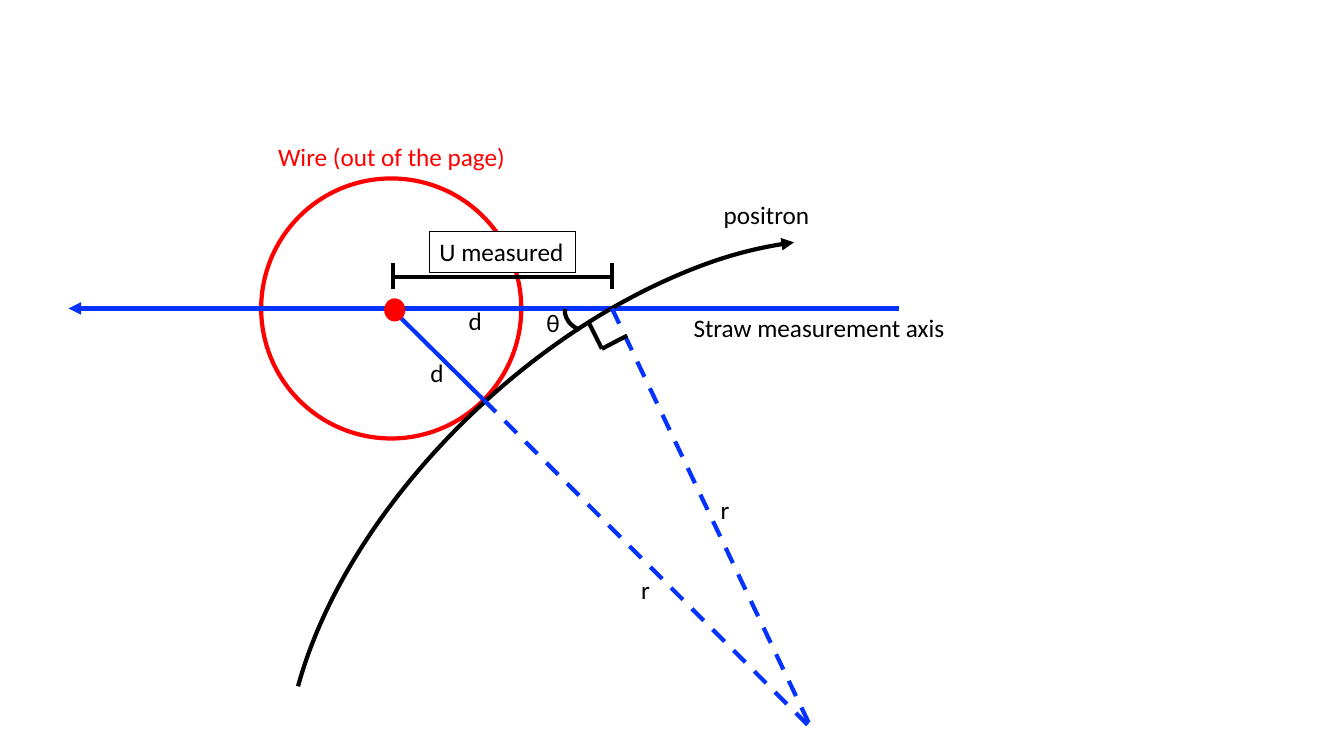
from lxml.etree import SubElement
from pptx import Presentation
from pptx.dml.color import RGBColor
from pptx.enum.dml import MSO_LINE_DASH_STYLE as Dash
from pptx.enum.shapes import MSO_CONNECTOR, MSO_SHAPE as Shape
from pptx.enum.text import MSO_AUTO_SIZE as AutoSize
from pptx.oxml.ns import qn
from pptx.util import Inches, Pt

CELL = 0.1  # inches; every position below is in grid columns and rows
BLACK, WHITE, RED, BLUE = "000000", "FFFFFF", "FF0000", "0432FF"
THICK, THIN = 3, 0.75

AXIS_ROW = 30.6
WIRE = (38.8, AXIS_ROW)
TANGENT = (48, 39.7)
CROSSING = (60.7, AXIS_ROW)
MEASURE_ROW, TICK_TOP, TICK_BOTTOM = 27.5, 26.1, 28.7
LABEL_HEIGHT = 4

LABELS = [
    ("d", 41.7, 35, 3.4, BLACK),
    ("d", 45.5, 29.8, 3.4, BLACK),
    ("Wire (out of the page)", 26.6, 13.5, 24.8, RED),
    ("r", 62.6, 56.5, 2.9, BLACK),
    ("r", 70.5, 48.6, 2.9, BLACK),
    ("θ", 53.2, 30, 3.4, BLACK),
    ("Straw measurement axis", 67.8, 30.5, 27.2, BLACK),
    ("positron", 70.8, 19.3, 10.6, BLACK),
]


def grid(*cells):
    return [Inches(cell * CELL) for cell in cells]


def color(hex_string):
    return RGBColor.from_string(hex_string)


def set_line(line, line_color, width=THICK, dash=None, arrow=False):
    """Style an outline; the arrowhead goes at its end."""
    line.color.rgb = color(line_color)
    for name, value in {"width": Pt(width), "dash_style": dash}.items():
        setattr(line, name, value)
    if arrow:
        properties = line.fill._xPr
        SubElement(properties, qn("a:tailEnd"), type="triangle")


def add_line(slide, start, end, line_color, **line_format):
    connector = slide.shapes.add_connector(
        MSO_CONNECTOR.STRAIGHT, *grid(*start, *end))
    SubElement(connector._element.spPr, qn("a:effectLst"))
    set_line(connector.line, line_color, **line_format)


def add_outline(slide, kind, box, fill=None, line_color=None, **line_format):
    shape = slide.shapes.add_shape(kind, *grid(*box))
    shape.shadow.inherit = False
    if fill:
        shape.fill.solid()
        shape.fill.fore_color.rgb = color(fill)
    else:
        shape.fill.background()
    if line_color:
        set_line(shape.line, line_color, **line_format)
    else:
        shape.line.fill.background()
    return shape


def add_arc(slide, box, rotation, angles, **line_format):
    """Draw a clockwise arc between two angles in degrees."""
    arc = add_outline(slide, Shape.ARC, box, line_color=BLACK, **line_format)
    arc.rotation = rotation
    for index, angle in enumerate(angles):
        arc.adjustments[index] = angle * 0.6


def add_label(slide, text, left, top, width, text_color=BLACK):
    label = slide.shapes.add_textbox(*grid(left, top, width, LABEL_HEIGHT))
    frame = label.text_frame
    frame.word_wrap = False
    frame.auto_size = AutoSize.SHAPE_TO_FIT_TEXT
    frame.text = text
    font = frame.paragraphs[0].runs[0].font
    for name, value in {"name": "Calibri", "size": Pt(18)}.items():
        setattr(font, name, value)
    font.color.rgb = color(text_color)
    return label


def add_track(slide):
    """Draw the positron's curved path and its two radii."""
    add_line(slide, WIRE, TANGENT, BLUE)
    add_arc(slide, (39.6, 15.1, 49.4, 86.8), 226.9, (297.67, 65.85), arrow=True)
    add_line(slide, TANGENT, (80.1, 71.9), BLUE, dash=Dash.DASH)
    add_line(slide, CROSSING, (80.3, 71.9), BLUE, dash=Dash.DASH)


def add_angle_marks(slide):
    corner = (59.7, 34.6)
    for end in [(58.4, 32), (62.2, 33.3)]:
        add_line(slide, end, corner, BLACK)
    add_arc(slide, (56.5, 28.7, 3.7, 4.7), 283.2, (194.57, 266.95))


def add_measure(slide):
    left, right = 39, CROSSING[0]
    add_line(slide, (left, MEASURE_ROW), (right, MEASURE_ROW), BLACK)
    for column in (left, right):
        add_line(slide, (column, TICK_TOP), (column, TICK_BOTTOM), BLACK)
    label = add_label(slide, "U measured", 42.6, 23, 14.5)
    label.fill.solid()
    label.fill.fore_color.rgb = color(WHITE)
    set_line(label.line, BLACK, THIN)


def main():
    presentation = Presentation()
    presentation.slide_width = Inches(13.33)
    presentation.slide_height = Inches(7.5)
    slide = presentation.slides.add_slide(presentation.slide_layouts[6])
    add_outline(slide, Shape.OVAL, (25.9, 17.7, 25.8, 25.8), WHITE, RED)
    add_line(slide, (89.2, AXIS_ROW), (6.8, AXIS_ROW), BLUE, arrow=True)
    add_track(slide)
    add_angle_marks(slide)
    add_measure(slide)
    add_outline(slide, Shape.OVAL, (38.1, 29.6, 2.1, 2.3), RED)
    for label in LABELS:
        add_label(slide, *label)
    presentation.save("out.pptx")


if __name__ == "__main__":
    main()
